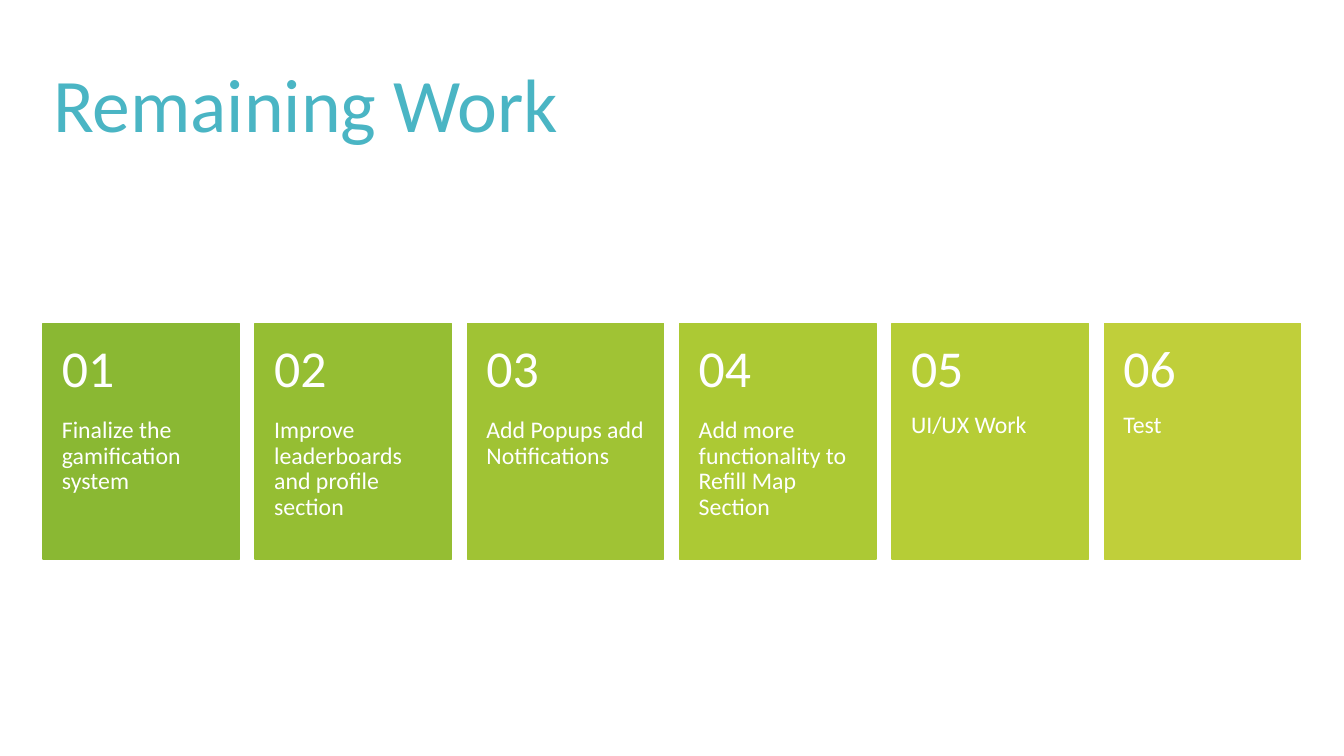
import pptx
import pptx.dml.color
import pptx.enum.shapes
import pptx.enum.text
import pptx.util

Cm = pptx.util.Cm
RGBColor = pptx.dml.color.RGBColor
Anchor = pptx.enum.text.MSO_ANCHOR

TEAL = RGBColor(0x4A, 0xB5, 0xC4)
WHITE = RGBColor(0xFF, 0xFF, 0xFF)
GREENS = [
    RGBColor(0x8A, 0xB8, 0x33),
    RGBColor(0x95, 0xBE, 0x33),
    RGBColor(0xA0, 0xC3, 0x34),
    RGBColor(0xAC, 0xC9, 0x34),
    RGBColor(0xB6, 0xCD, 0x36),
    RGBColor(0xC0, 0xCF, 0x3A),
]
TASKS = [
    "Finalize the gamification system",
    "Improve leaderboards and profile section",
    "Add Popups add Notifications",
    "Add more functionality to Refill Map Section",
    "UI/UX Work",
    "Test",
]


def add_text(shapes, text, box, *, size, color, anchor=Anchor.TOP,
             insets=(0.25, 0.13, 0.25, 0.13)):
    """Write one Calibri paragraph in a box given in centimetres."""
    label = shapes.add_textbox(*map(Cm, box))
    frame = label.text_frame
    frame.word_wrap = True
    frame.vertical_anchor = anchor
    frame.margin_left, frame.margin_top, frame.margin_right, frame.margin_bottom = map(Cm, insets)
    paragraph = frame.paragraphs[0]
    paragraph.line_spacing = 0.9
    run = paragraph.add_run()
    run.text = text
    run.font.name = "Calibri"
    run.font.size = pptx.util.Pt(size)
    run.font.color.rgb = color


def add_card(shapes, box, number, task, color):
    """Draw one numbered task card."""
    left, top, width, height = box
    number_height = 2.38
    card = shapes.add_shape(pptx.enum.shapes.MSO_SHAPE.RECTANGLE, *map(Cm, box))
    card.shadow.inherit = False
    card.fill.solid()
    card.fill.fore_color.rgb = color
    card.line.color.rgb = color
    card.line.width = pptx.util.Pt(1)
    add_text(shapes, task, (left, top + number_height, width, height - number_height),
             size=17, color=WHITE, insets=(0.48, 0, 0.48, 0.91))
    add_text(shapes, f"{number:02}", (left, top, width, number_height),
             size=37, color=WHITE, anchor=Anchor.MIDDLE, insets=(0.48, 0.46, 0.48, 0.46))


def add_task_row(shapes, box, gap=0.4):
    """Spread the task cards evenly across the box."""
    left, top, width, height = box
    card_width = (width - gap * (len(TASKS) - 1)) / len(TASKS)
    row = shapes.add_group_shape()
    for index, (task, color) in enumerate(zip(TASKS, GREENS)):
        card_left = left + index * (card_width + gap)
        add_card(row.shapes, (card_left, top, card_width, height), index + 1, task, color)


def main():
    """Build and save the remaining work slide."""
    deck = pptx.Presentation()
    deck.slide_width = Cm(33.87)
    deck.slide_height = Cm(19.05)
    slide = deck.slides.add_slide(deck.slide_layouts[6])
    add_text(slide.shapes, "Remaining Work", (1.09, 0.89, 31.7, 3.68),
             size=54, color=TEAL, anchor=Anchor.MIDDLE)
    add_task_row(slide.shapes, (1.08, 8.15, 31.7, 5.94))
    deck.save("out.pptx")


if __name__ == "__main__":
    main()
